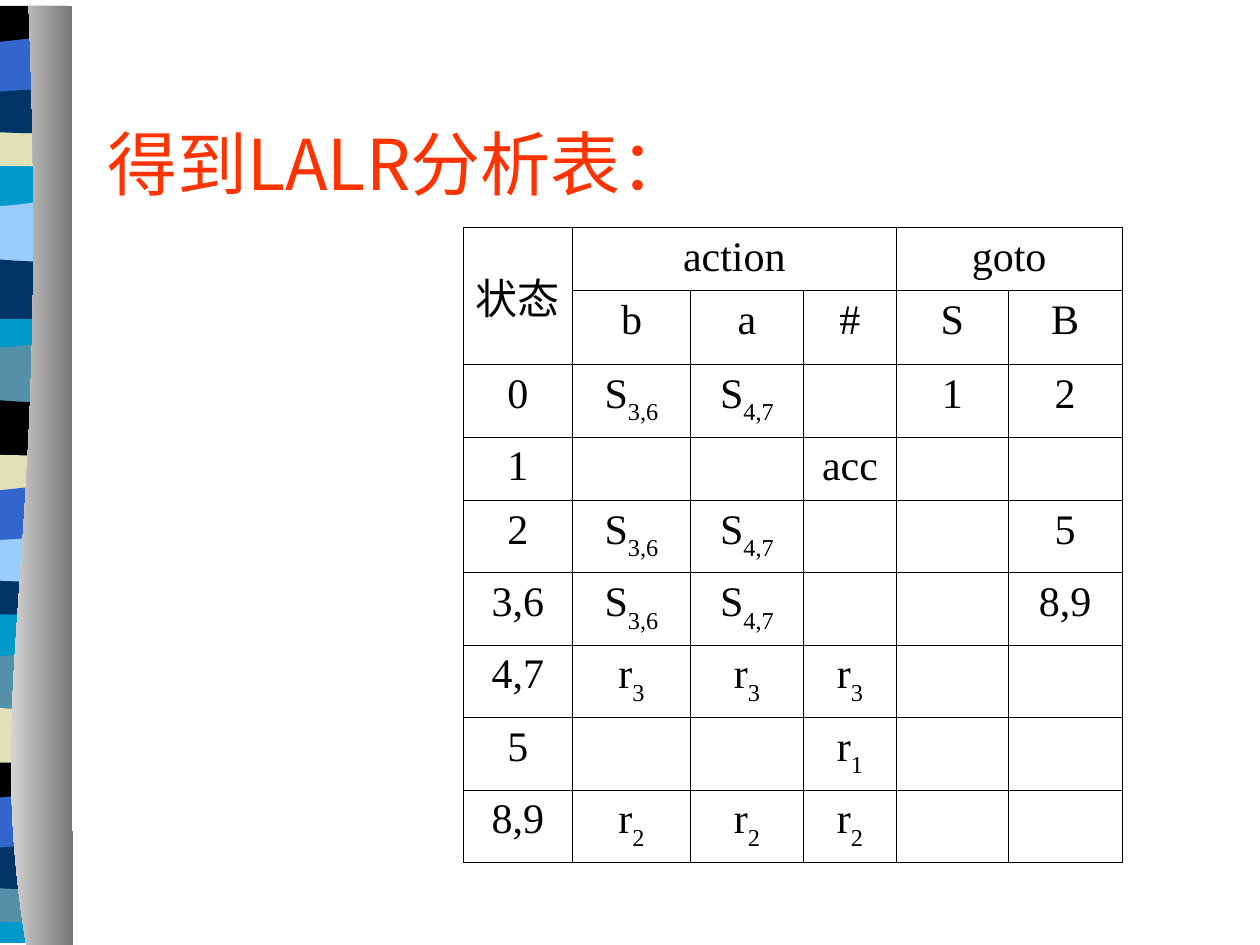
from lxml import etree
from pptx import Presentation
from pptx import util as u
from pptx.dml.color import RGBColor
from pptx.enum import text
from pptx.oxml import ns

BLACK = RGBColor(0x00, 0x00, 0x00)
WHITE = RGBColor(0xFF, 0xFF, 0xFF)
RED = RGBColor(0xFF, 0x33, 0x00)
CYAN = RGBColor(0x00, 0x99, 0xCC)
TEAL = RGBColor(0x54, 0x90, 0xA8)
SAND = RGBColor(0xE1, 0xE1, 0xB7)
BLUE = RGBColor(0x33, 0x66, 0xCC)
NAVY = RGBColor(0x00, 0x33, 0x66)
SKY = RGBColor(0x99, 0xCC, 0xFF)
GREY = RGBColor(0x76, 0x76, 0x76)

prs = Presentation()
prs.slide_width, prs.slide_height = u.Cm(25.4), u.Cm(19.05)
s = prs.slides.add_slide(prs.slide_layouts[6])


def draw(outline, left=0, top=0):
    pts = [(u.Cm(left + seg[i]), u.Cm(top + seg[i + 1]))
           for seg in outline for i in range(0, len(seg), 2)]
    fb = s.shapes.build_freeform(*pts[0])
    fb.add_line_segments(pts[1:], close=True)
    sp = fb.convert_to_shape()
    lines = iter(list(sp._element.iter(ns.qn("a:lnTo"))))
    for seg in outline[1:]:
        first = next(lines)
        if len(seg) == 6:
            first.tag = ns.qn("a:cubicBezTo")
            for _ in range(2):
                extra = next(lines)
                first.append(extra[0])
                extra.getparent().remove(extra)
    sp.shadow.inherit = False
    sp.line.fill.background()
    return sp


W = 2.79
outlines = {
    "base": [(0, 18.87), (0, 0), (W, 0), (W, 18.87)],
    "wave": [(0, 1.37), (0, 0.18), (1.93, 0.41, 2.31, 0, W, 0.18), (W, 1.37)],
    "swell": [(0, 1.4), (0, 0.2), (0.46, 0, 1.93, 0.36, W, 0.2), (W, 1.4)],
    "strip": [(0, 0.71), (0, 0.1), (0.46, 0, 2.31, 0, W, 0.1), (W, 0.71),
              (2.62, 0.84, 2.18, 0.81, 1.73, 0.81), (1.24, 0.81, 0.36, 0.74, 0, 0.71)],
    "band": [(0, 0.97), (0, 0.13), (0.46, 0, 2.31, 0, W, 0.13), (W, 0.97),
             (1.07, 0.84, 0.58, 0.97, 0, 0.97)],
    "cap": [(0, 0.97), (0, 0), (W, 0), (W, 0.97), (1.07, 0.84, 0.58, 0.97, 0, 0.97)],
    "arch": [(0, 1.19), (0, 0), (0.43, 0.15, 0.61, 0.15, 1.07, 0.15),
             (1.55, 0.15, 2.36, 0, W, 0), (W, 1.19)],
    "lens": [(0, 0.89), (0, 0.13), (0.18, 0, 0.61, 0.13, 1.07, 0.13),
             (1.55, 0.13, 2.51, 0, W, 0.13), (W, 0.89),
             (2.39, 1.04, 0.89, 0.89, 0.43, 0.89), (-0.03, 0.89, 0.1, 0.89, 0, 0.89)],
}
stripes = [
    ("base", -1.45, 0.15, CYAN),
    ("wave", -1.45, 12.98, TEAL),
    ("swell", -1.45, 14.07, SAND),
    ("strip", -1.45, 17.78, TEAL),
    ("band", -1.45, 15.34, BLACK),
    ("arch", -1.45, 15.95, BLUE),
    ("lens", -1.45, 16.97, NAVY),
    ("wave", -1.42, 6.76, TEAL),
    ("swell", -1.42, 7.87, BLACK),
    ("strip", -1.42, 11.58, NAVY),
    ("band", -1.42, 9.14, SAND),
    ("arch", -1.42, 9.75, BLUE),
    ("lens", -1.42, 10.77, SKY),
    ("wave", -1.45, 3.91, SKY),
    ("swell", -1.45, 5.03, NAVY),
    ("strip", -1.42, 2.54, SAND),
    ("cap", -1.42, 0.12, BLACK),
    ("arch", -1.42, 0.71, BLUE),
    ("lens", -1.42, 1.73, NAVY),
]
for name, left, top, color in stripes:
    sp = draw(outlines[name], left, top)
    sp.fill.solid()
    sp.fill.fore_color.rgb = color

ribbon = draw([(0.53, 19.05), (-0.36, 13.56, 1.04, 11.58, 0.58, 0.13), (1.45, 0.13), (1.47, 19.05)])
ribbon.fill.gradient()
ribbon.fill.gradient_angle = 0
for stop, color, pos in zip(ribbon.fill.gradient_stops, (WHITE, GREY), (0, 1)):
    stop.color.rgb = color
    stop.position = pos

title = s.shapes.add_textbox(u.Cm(1.92), u.Cm(1.69), u.Cm(21.59), u.Cm(3.17))
tf = title.text_frame
for key, value in {"word_wrap": True, "vertical_anchor": text.MSO_ANCHOR.MIDDLE}.items():
    setattr(tf, key, value)
r = tf.paragraphs[0].add_run()
r.text = "得到LALR分析表："
for key, value in {"size": u.Pt(40), "name": "Noto Sans CJK SC"}.items():
    setattr(r.font, key, value)
r.font.color.rgb = RED
etree.SubElement(r.font._element, ns.qn("a:ea"), typeface="Noto Sans CJK SC")

rows = [
    ["状态", "action", "", "", "goto", ""],
    ["", "b", "a", "#", "S", "B"],
    ["0", "S_3,6", "S_4,7", "", "1", "2"],
    ["1", "", "", "acc", "", ""],
    ["2", "S_3,6", "S_4,7", "", "", "5"],
    ["3,6", "S_3,6", "S_4,7", "", "", "8,9"],
    ["4,7", "r_3", "r_3", "r_3", "", ""],
    ["5", "", "", "r_1", "", ""],
    ["8,9", "r_2", "r_2", "r_2", "", ""],
]
widths = [2.2, 2.38, 2.28, 1.87, 2.26, 2.29]
heights = [1.27, 1.49, 1.46, 1.27] + [1.46] * 5
frame = s.shapes.add_table(len(rows), len(widths), u.Cm(9.34), u.Cm(4.58),
                           u.Cm(sum(widths)), u.Cm(sum(heights)))
table = frame.table
for key in ("first_row", "horz_banding"):
    setattr(table, key, False)
for col, width in zip(table.columns, widths):
    col.width = u.Cm(width)
for row, height in zip(table.rows, heights):
    row.height = u.Cm(height)
for top, left, bottom, right in ((0, 0, 1, 0), (0, 1, 0, 3), (0, 4, 0, 5)):
    table.cell(top, left).merge(table.cell(bottom, right))

cell_format = {"margin_left": u.Cm(0.25), "margin_right": u.Cm(0.25),
               "margin_top": u.Cm(0.13), "margin_bottom": u.Cm(0.13)}
run_format = {"size": u.Pt(24), "name": "Times New Roman"}
for i, row in enumerate(rows):
    for j, label in enumerate(row):
        cell = table.cell(i, j)
        for key, value in cell_format.items():
            setattr(cell, key, value)
        cell.vertical_anchor = text.MSO_ANCHOR.MIDDLE if i == j == 0 else text.MSO_ANCHOR.TOP
        tcPr = cell._tc.get_or_add_tcPr()
        for side in ("a:lnL", "a:lnR", "a:lnT", "a:lnB"):
            ln = etree.SubElement(tcPr, ns.qn(side), w=str(u.Pt(0.45)))
            fill = etree.SubElement(ln, ns.qn("a:solidFill"))
            etree.SubElement(fill, ns.qn("a:srgbClr"), val=str(BLACK))
        cell.fill.background()
        p = cell.text_frame.paragraphs[0]
        p.alignment = text.PP_ALIGN.CENTER
        for k, part in enumerate(label.split("_") if label else []):
            r = p.add_run()
            r.text = part
            for key, value in run_format.items():
                setattr(r.font, key, value)
            r.font.color.rgb = BLACK
            if k:
                r.font._element.set("baseline", "-30000")

prs.save("out.pptx")
